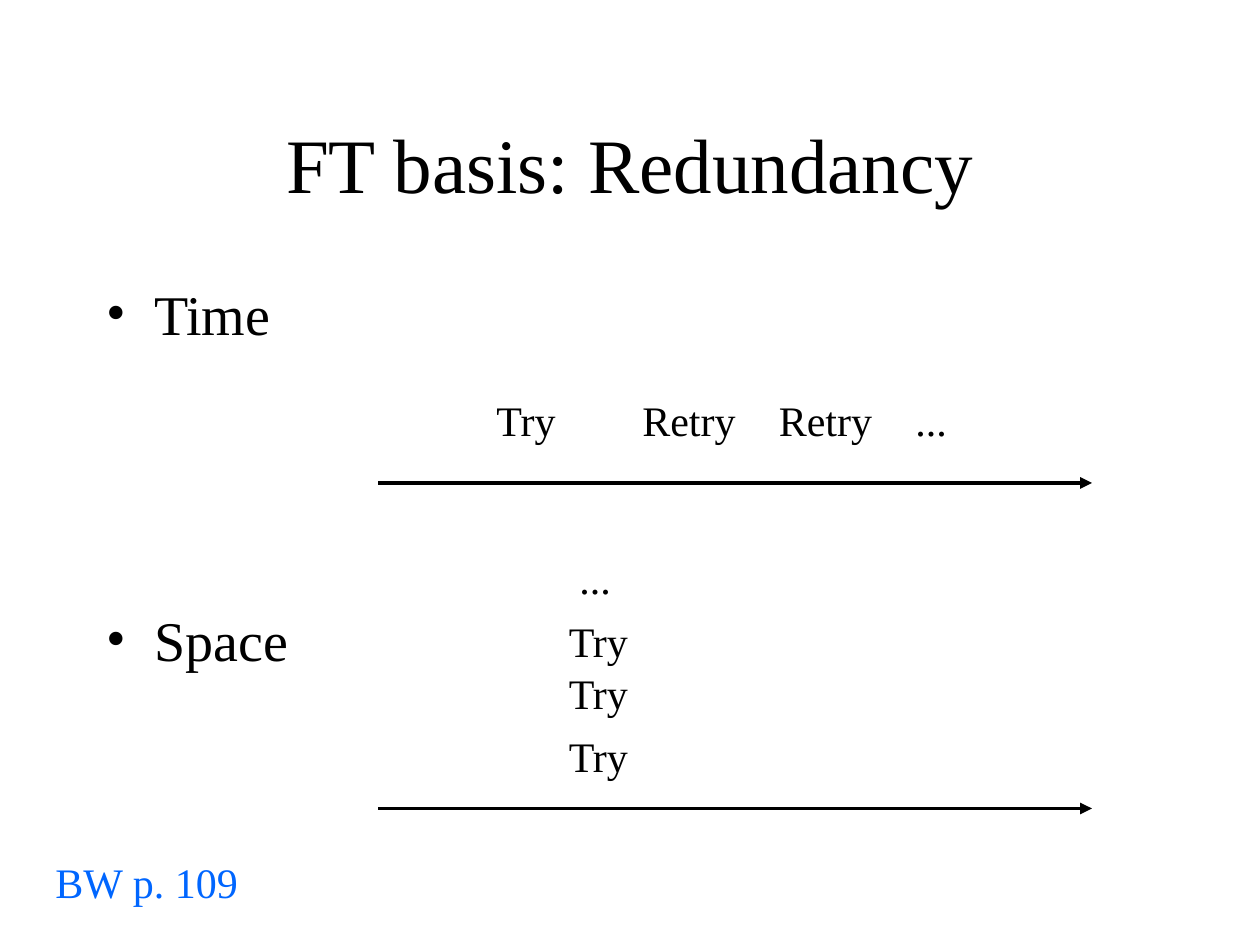
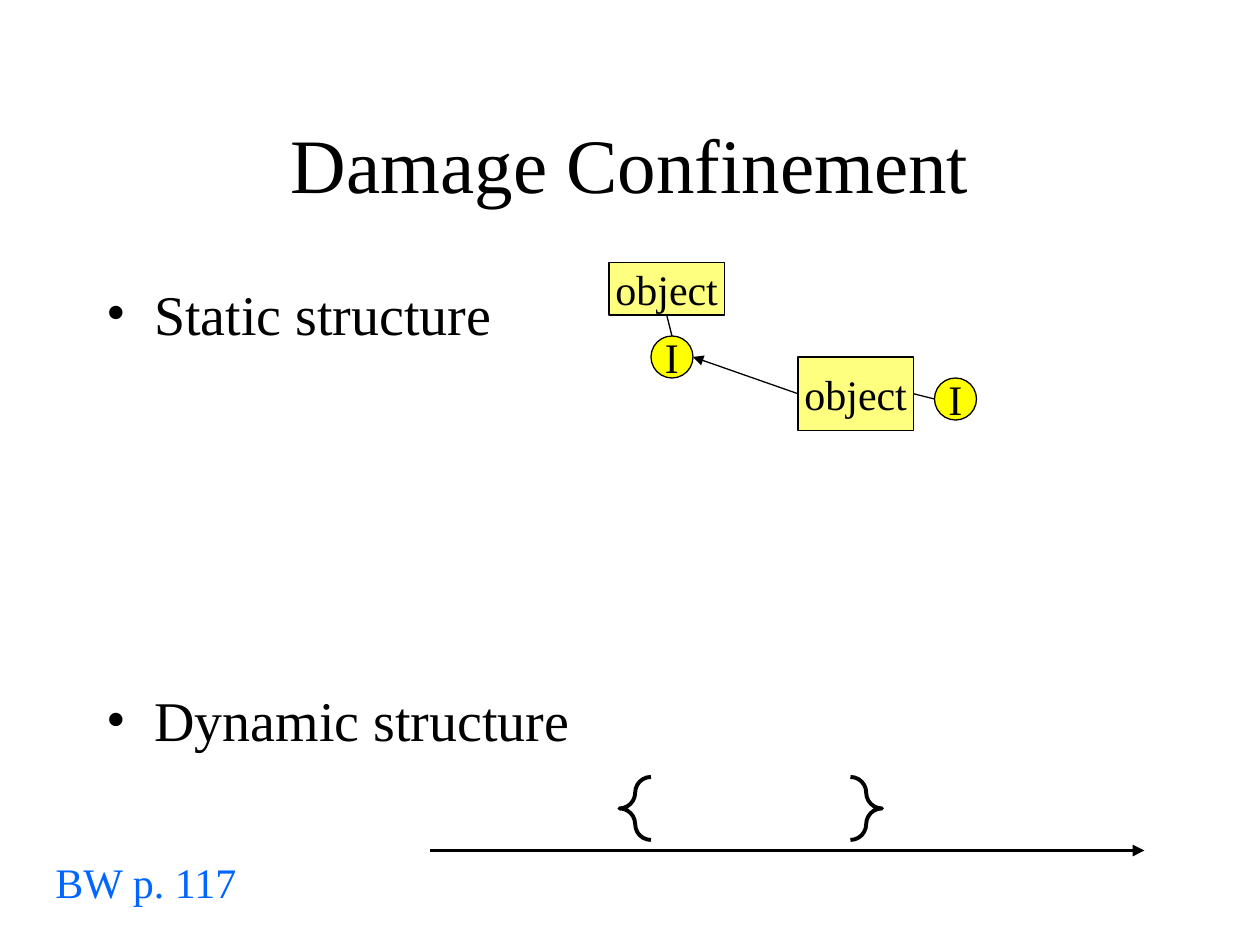
from dataclasses import dataclass

from lxml.etree import SubElement
from pptx import Presentation
from pptx.dml.color import RGBColor
from pptx.enum.shapes import MSO_CONNECTOR, MSO_SHAPE
from pptx.enum.text import MSO_ANCHOR, MSO_AUTO_SIZE, PP_ALIGN
from pptx.oxml.ns import qn
from pptx.util import Pt

SCALE = 7620


@dataclass(frozen=True)
class Theme:
    font: str = "Times New Roman"
    ink: str = "000000"
    link: str = "0066FF"
    fill: str = "FFFF00"
    head: int = 44
    body: int = 32
    note: int = 24
    thin: float = 0.75
    thick: float = 2.25


def px(*sizes):
    return [size * SCALE for size in sizes]


def rgb(code):
    return RGBColor.from_string(code)


def put(frame, text, font, size, color, align=PP_ALIGN.LEFT,
        anchor=MSO_ANCHOR.TOP, wrap=False, bullet=False, gap=0):
    frame.word_wrap = wrap
    frame.vertical_anchor = anchor
    for i, line in enumerate(text.split("\n")):
        para = frame.paragraphs[0] if i == 0 else frame.add_paragraph()
        para.alignment = align
        if bullet:
            props = para._p.get_or_add_pPr()
            indent, = px(45)
            props.set("marL", str(indent))
            props.set("indent", str(-indent))
            tint = SubElement(props, qn("a:buClr"))
            SubElement(tint, qn("a:srgbClr"), val=color)
            SubElement(props, qn("a:buFont"), typeface=font)
            SubElement(props, qn("a:buChar"), char="•")
        if i and gap:
            para.space_before = Pt(gap)
        run = para.add_run()
        run.text = line
        run.font.name = font
        run.font.size = Pt(size)
        run.font.color.rgb = rgb(color)


class Deck:
    def __init__(self, theme):
        self.theme = theme
        self.file = Presentation()
        self.file.slide_width, self.file.slide_height = px(1200, 900)
        self.slide = None

    def page(self, title, items, gap, cite):
        theme = self.theme
        self.slide = self.file.slides.add_slide(self.file.slide_layouts[6])
        self.text(title, 90, 80, 1020, 150, size=theme.head, wrap=True,
                  align=PP_ALIGN.CENTER, anchor=MSO_ANCHOR.MIDDLE)
        self.text("\n".join(items), 90, 260, 1020, 540, size=theme.body,
                  wrap=True, bullet=True, gap=gap)
        self.label(cite, 41, 810, 198, color=theme.link)

    def text(self, text, x, y, w, h, **form):
        frame = self.slide.shapes.add_textbox(*px(x, y, w, h)).text_frame
        form = {"font": self.theme.font, "color": self.theme.ink} | form
        put(frame, text, **form)
        return frame

    def label(self, text, x, y, w, **form):
        frame = self.text(text, x, y, w, 60, size=self.theme.note, **form)
        frame.auto_size = MSO_AUTO_SIZE.SHAPE_TO_FIT_TEXT

    def shape(self, kind, x, y, w, h, width):
        item = self.slide.shapes.add_shape(kind, *px(x, y, w, h))
        item.shadow.inherit = False
        item.fill.background()
        item.line.color.rgb = rgb(self.theme.ink)
        item.line.width = Pt(width)
        return item

    def node(self, kind, text, x, y, w, h, alpha=100):
        theme = self.theme
        item = self.shape(kind, x, y, w, h, theme.thin)
        item.fill.solid()
        item.fill.fore_color.rgb = rgb(theme.fill)
        if alpha < 100:
            tint = item._element.spPr.find(qn("a:solidFill"))[0]
            SubElement(tint, qn("a:alpha"), val=str(alpha * 1000))
        put(item.text_frame, text, theme.font, theme.note, theme.ink,
            align=PP_ALIGN.CENTER, anchor=MSO_ANCHOR.MIDDLE)

    def object(self, x, y, h):
        self.node(MSO_SHAPE.RECTANGLE, "object", x, y, 110, h, alpha=50)

    def port(self, x, y):
        self.node(MSO_SHAPE.OVAL, "I", x, y, 40, 40)

    def brace(self, x, y, w, h):
        item = self.shape(MSO_SHAPE.DOUBLE_BRACE, x, y, w, h, self.theme.thick)
        item.adjustments[0] = 0.25

    def line(self, x1, y1, x2, y2, width, arrow=False):
        item = self.slide.shapes.add_connector(
            MSO_CONNECTOR.STRAIGHT, *px(x1, y1, x2, y2))
        item.line.color.rgb = rgb(self.theme.ink)
        item.line.width = Pt(width)
        if arrow:
            SubElement(item.line._get_or_add_ln(), qn("a:tailEnd"), type="triangle")
        SubElement(item._element.spPr, qn("a:effectLst"))

    def axis(self, x, y):
        self.line(x, y, x + 680, y, self.theme.thick, arrow=True)


def basis(deck):
    deck.page("FT basis: Redundancy", ["Time", "Space"], 148, "BW p. 109")
    for word, x, w in (("Try", 461, 82), ("Retry", 600, 122),
                       ("Retry", 730, 122), ("...", 860, 64)):
        deck.label(word, x, 370, w)
    deck.label("...", 540, 520, 64)
    for y in (580, 630, 690):
        deck.label("Try", 530, y, 82)
    for y in (460, 770):
        deck.axis(360, y)


def damage(deck):
    deck.page("Damage Confinement", ["Static structure", "Dynamic structure"],
              194, "BW p. 117")
    thin = deck.theme.thin
    deck.object(760, 340, 70)
    deck.object(580, 250, 50)
    deck.port(620, 320)
    deck.port(890, 360)
    deck.line(635, 300, 640, 320, thin)
    deck.line(870, 375, 890, 380, thin)
    deck.line(760, 375, 660, 340, thin, arrow=True)
    deck.axis(410, 810)
    deck.brace(590, 740, 250, 60)


def main():
    deck = Deck(Theme())
    basis(deck)
    damage(deck)
    deck.file.save("out.pptx")


if __name__ == "__main__":
    main()
